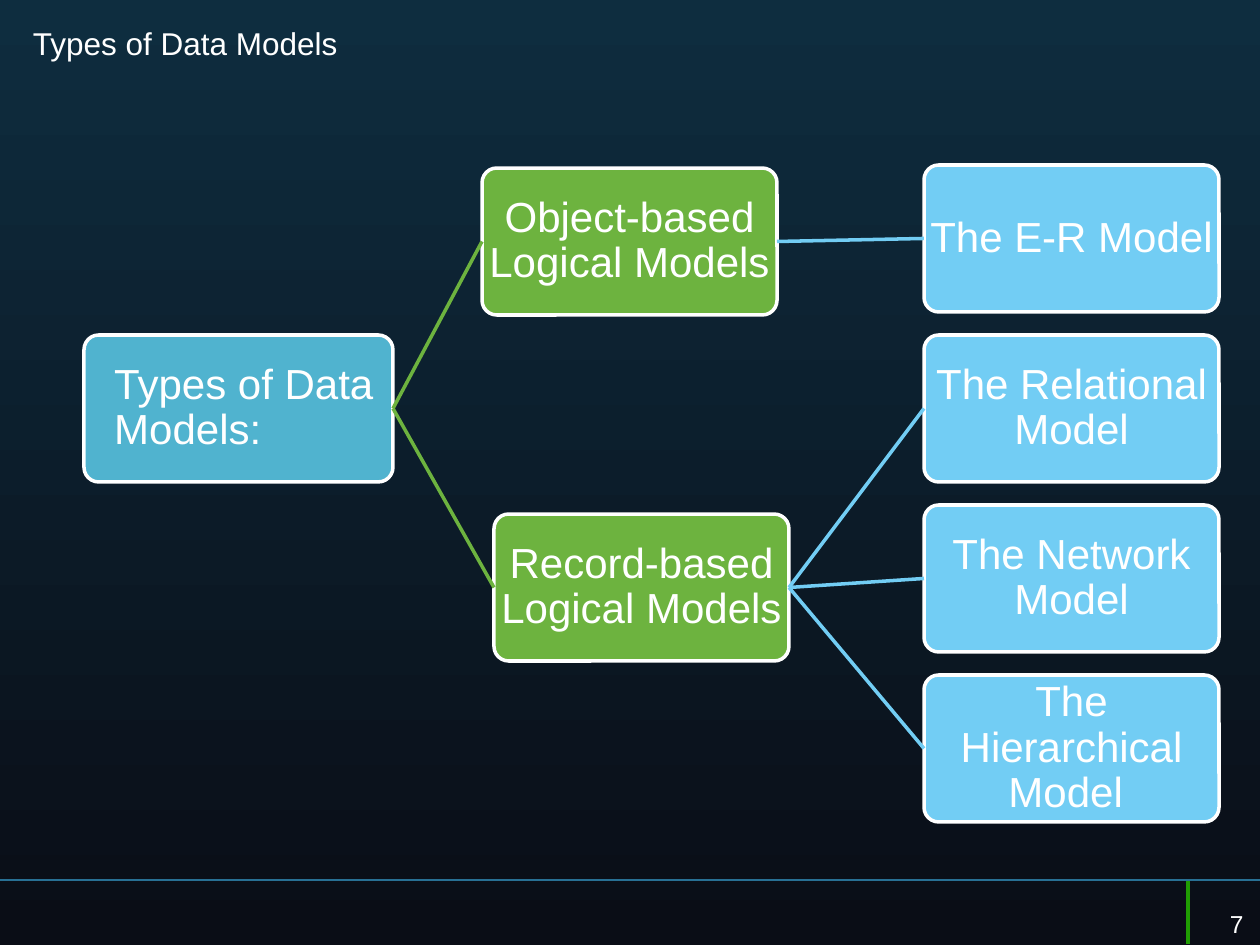
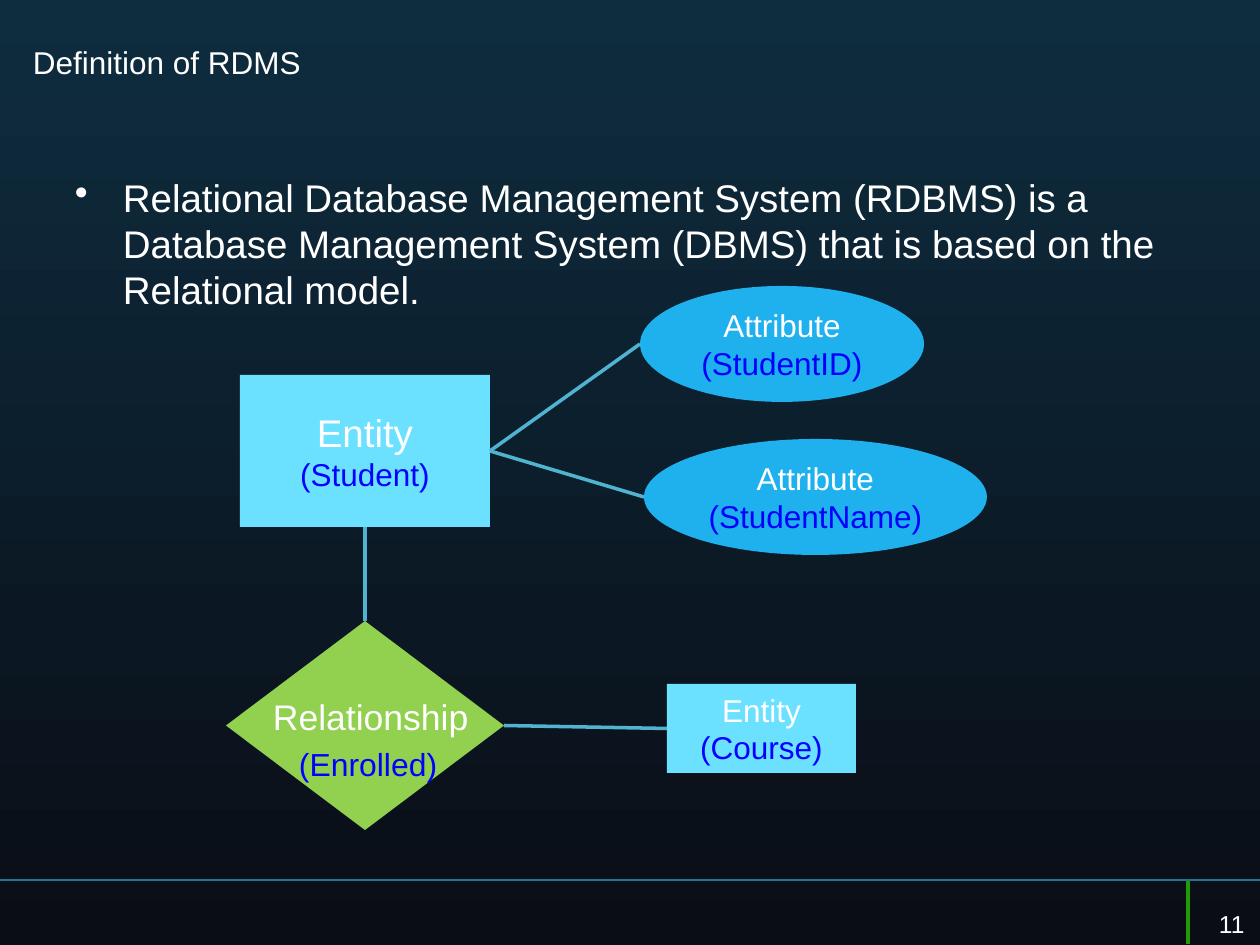
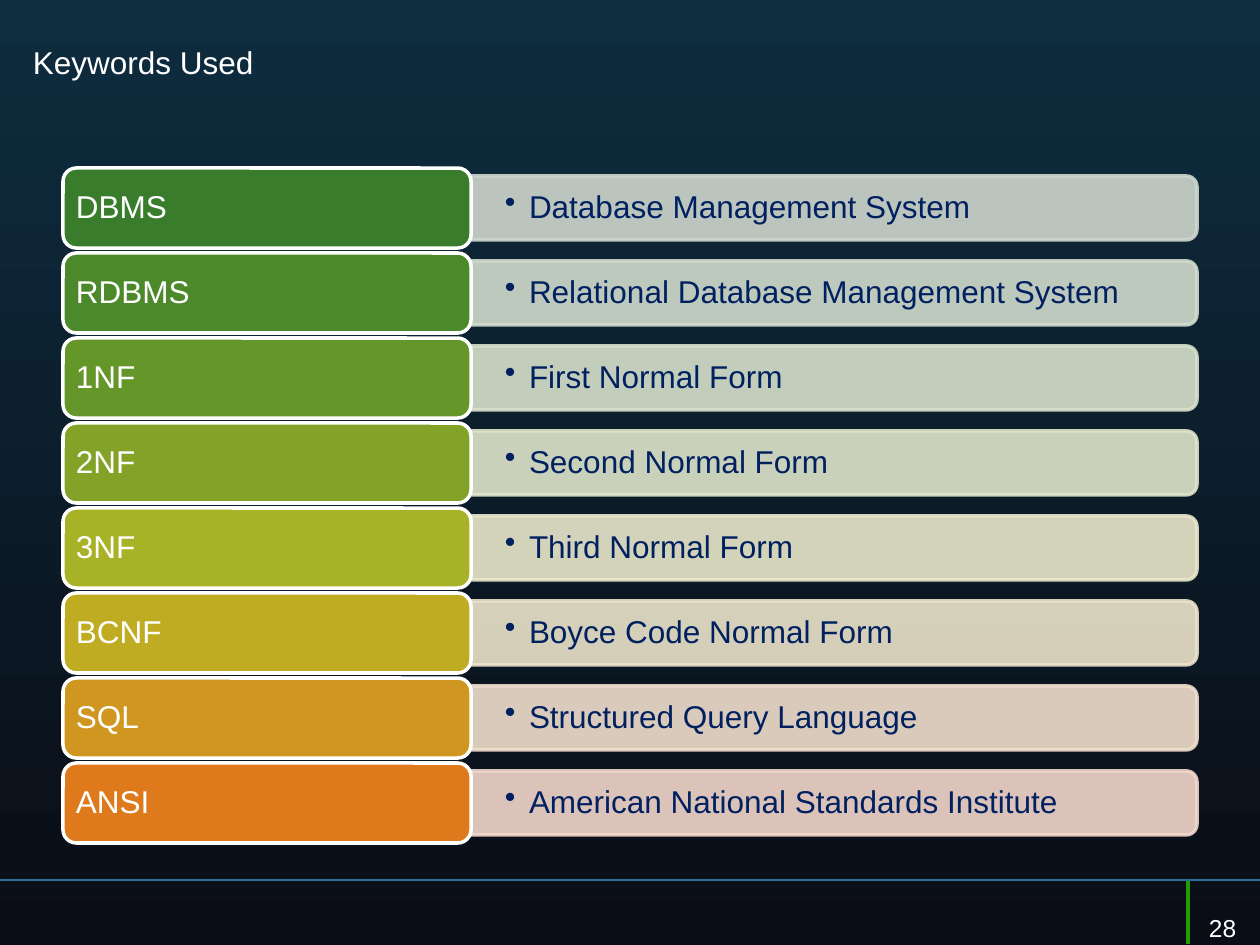
import pptx
import pptx.util
import pptx.dml.color
import pptx.enum.shapes
import pptx.enum.text
import pptx.oxml.ns
from lxml import etree

PX = 914400 / 126
FONT = "Arial"
WHITE, SKY, GREEN, TEAL = "FFFFFF", "72CDF4", "6DB33F", "50B3CF"
CYAN, BLUE, LABEL, NAVY = "6CE1FF", "1FB0EE", "0000FF", "002060"
rgb = pptx.dml.color.RGBColor.from_string
qn = pptx.oxml.ns.qn
Pt = pptx.util.Pt
SHAPE = pptx.enum.shapes.MSO_SHAPE
ANCHOR = pptx.enum.text.MSO_ANCHOR
LEFT, CENTER = pptx.enum.text.PP_ALIGN.LEFT, pptx.enum.text.PP_ALIGN.CENTER


def box(s, kind, at, paras=(), fill=None, line=None, inset=(12, 6),
        align=LEFT, anchor=ANCHOR.MIDDLE, spacing=None, indent=0, bullet=False):
    """Add a shape, or a text box if kind is None; paras are (text, size, colour)."""
    at = [round(v * PX) for v in at]
    if kind is None:
        sp = s.shapes.add_textbox(*at)
    else:
        sp = s.shapes.add_shape(kind, *at)
        sp.shadow.inherit = False
        sp.fill.solid()
        sp.fill.fore_color.rgb = rgb(fill)
        if line:
            sp.line.color.rgb = rgb(line)
            sp.line.width = Pt(2)
        else:
            sp.line.fill.background()
    tf = sp.text_frame
    tf.word_wrap = True
    tf.vertical_anchor = anchor
    tf.margin_left = tf.margin_right = round(inset[0] * PX)
    tf.margin_top = tf.margin_bottom = round(inset[1] * PX)
    for i, (text, size, colour) in enumerate(paras):
        p = tf.add_paragraph() if i else tf.paragraphs[0]
        p.alignment = align
        p.line_spacing = spacing
        r = p.add_run()
        r.text = text
        r.font.name, r.font.size, r.font.color.rgb = FONT, Pt(size), rgb(colour)
        if indent:
            pPr = p._p.get_or_add_pPr()
            pPr.set("marL", str(round(indent * PX)))
            if bullet:
                pPr.set("indent", str(-round(indent * PX)))
                etree.SubElement(pPr, qn("a:buChar")).set("char", "•")
    return sp


def link(s, x1, y1, x2, y2, colour, width=2):
    """Add a straight line without a shadow."""
    c = s.shapes.add_connector(pptx.enum.shapes.MSO_CONNECTOR.STRAIGHT,
                               *[round(v * PX) for v in (x1, y1, x2, y2)])
    c.line.color.rgb = rgb(colour)
    c.line.width = Pt(width)
    etree.SubElement(c._element.spPr, qn("a:effectLst"))
    return c


prs = pptx.Presentation()
prs.slide_width, prs.slide_height = round(1260 * PX), round(945 * PX)

# Shared frame: background, footer lines, title, page number
slides = []
for title, title_y, number, number_x, number_y in [
        ("Types of Data Models", 6, "7", 1218, 903),
        ("Definition of RDMS", 25, "11", 1207, 903),
        ("Keywords Used", 25, "28", 1197, 907)]:
    s = prs.slides.add_slide(prs.slide_layouts[6])
    fill = s.background.fill
    fill.gradient()
    fill.gradient_angle = 270
    for stop, colour in zip(fill.gradient_stops, ("0E2D3F", "0A0D16")):
        stop.color.rgb = rgb(colour)
    link(s, 1260, 880, 0, 880, "287094", 0.75)
    link(s, 1188, 881, 1188, 944, "209D03")
    box(s, None, (21, title_y, 945, 73), [(title, 18, WHITE)])
    box(s, None, (number_x, number_y, 63, 38), [(number, 14, WHITE)], anchor=ANCHOR.TOP)
    slides.append(s)
tree_slide, er_slide, keyword_slide = slides

# Slide 1: tree of data models
s = tree_slide
root = box(s, SHAPE.ROUNDED_RECTANGLE, (84, 335, 309, 147),
           [("Types of Data Models:", 24, WHITE)], TEAL, WHITE, (2, 2),
           spacing=0.9, indent=24)
root.adjustments[0] = 0.1
leaf_y = 165
for text, x, y, leaves in [
        ("Object-based Logical Models", 482, 168, ["The E-R Model"]),
        ("Record-based Logical Models", 494, 514,
         ["The Relational Model", "The Network Model", "The Hierarchical Model "])]:
    nodes = [(text, x, y, GREEN)]
    for leaf in leaves:
        nodes.append((leaf, 924, leaf_y, SKY))
        leaf_y += 170
    parent = root
    for i, (label, left, top, colour) in enumerate(nodes):
        sp = box(s, SHAPE.ROUNDED_RECTANGLE, (left, top, 295, 147),
                 [(label, 24, WHITE)], colour, WHITE, (2, 2), CENTER, spacing=0.9)
        sp.adjustments[0] = 0.1
        c = link(s, 0, 0, 0, 0, colour)
        c.begin_connect(parent, 3)
        c.end_connect(sp, 1)
        if i == 0:
            parent = sp

# Slide 2: definition and entity-relationship diagram
s = er_slide
box(s, None, (63, 168, 1134, 677),
    [("Relational Database Management System\u00a0(RDBMS) is a Database Management "
      "System (DBMS) that is based on the Relational model.", 22, WHITE)],
    anchor=ANCHOR.TOP, indent=48, bullet=True)
student = box(s, SHAPE.RECTANGLE, (240, 375, 250, 152),
              [("Entity", 22, WHITE), ("(Student)", 18, LABEL)], CYAN, align=CENTER)
enrolled = box(s, SHAPE.DIAMOND, (226, 621, 278, 209), fill="92D050")
course = box(s, SHAPE.RECTANGLE, (667, 684, 189, 89),
             [("Entity", 18, WHITE), ("(Course)", 18, LABEL)], CYAN, align=CENTER)
sp = box(s, None, (261, 689, 243, 84),
         [("Relationship", 20.3, WHITE), ("(Enrolled)", 18.2, LABEL)], anchor=ANCHOR.TOP)
p = sp.text_frame.paragraphs[1]
p.space_before = Pt(4)
p._p.get_or_add_pPr().set("marL", str(round(26 * PX)))

for name, x, y, w in [("(StudentID)", 640, 286, 284), ("(StudentName)", 644, 439, 343)]:
    box(s, SHAPE.OVAL, (x, y, w, 116),
        [("Attribute", 18, WHITE), (name, 18, LABEL)], BLUE, align=CENTER)
    link(s, 490, 451, x, y + 58, TEAL).begin_connect(student, 3)
for a, a_side, b, b_side in [(enrolled, 0, student, 2), (enrolled, 3, course, 1)]:
    c = link(s, 0, 0, 0, 0, TEAL)
    c.begin_connect(a, a_side)
    c.end_connect(b, b_side)

# Slide 3: keywords and their meanings
s = keyword_slide
for i, (key, meaning, key_fill, bar_fill) in enumerate([
        ("DBMS", "Database Management System", "387C2C", "CED7CD"),
        ("RDBMS", "Relational Database Management System", "4B892B", "D1DCCC"),
        ("1NF", "First Normal Form", "64962A", "D7E0CC"),
        ("2NF", "Second Normal Form", "83A328", "DFE5CB"),
        ("3NF", "Third Normal Form", "A8B226", "E9E8CB"),
        ("BCNF", "Boyce Code Normal Form", "C0AC23", "ECE4CB"),
        ("SQL", "Structured Query Language", "CF9720", "F0DECC"),
        ("ANSI", "American National Standards Institute", "DF7A1C", "F3D7CC")]):
    y = 168 + 85 * i
    # Bar turned on its side so that its rounded corners face right
    bar = box(s, SHAPE.ROUND_2_SAME_RECTANGLE, (802, y - 323, 64, 726),
              fill=bar_fill, line=bar_fill)
    bar.rotation = 90
    for clr in bar._element.spPr.iter(qn("a:srgbClr")):
        etree.SubElement(clr, qn("a:alpha")).set("val", "90000")
    box(s, None, (471, y + 11, 722, 58), [(meaning, 18, NAVY)], inset=(34, 0),
        spacing=0.9, indent=24, bullet=True)
    box(s, SHAPE.ROUNDED_RECTANGLE, (63, y, 408, 80), [(key, 18, WHITE)],
        key_fill, WHITE, (9, 5), spacing=0.9)

prs.save("out.pptx")
